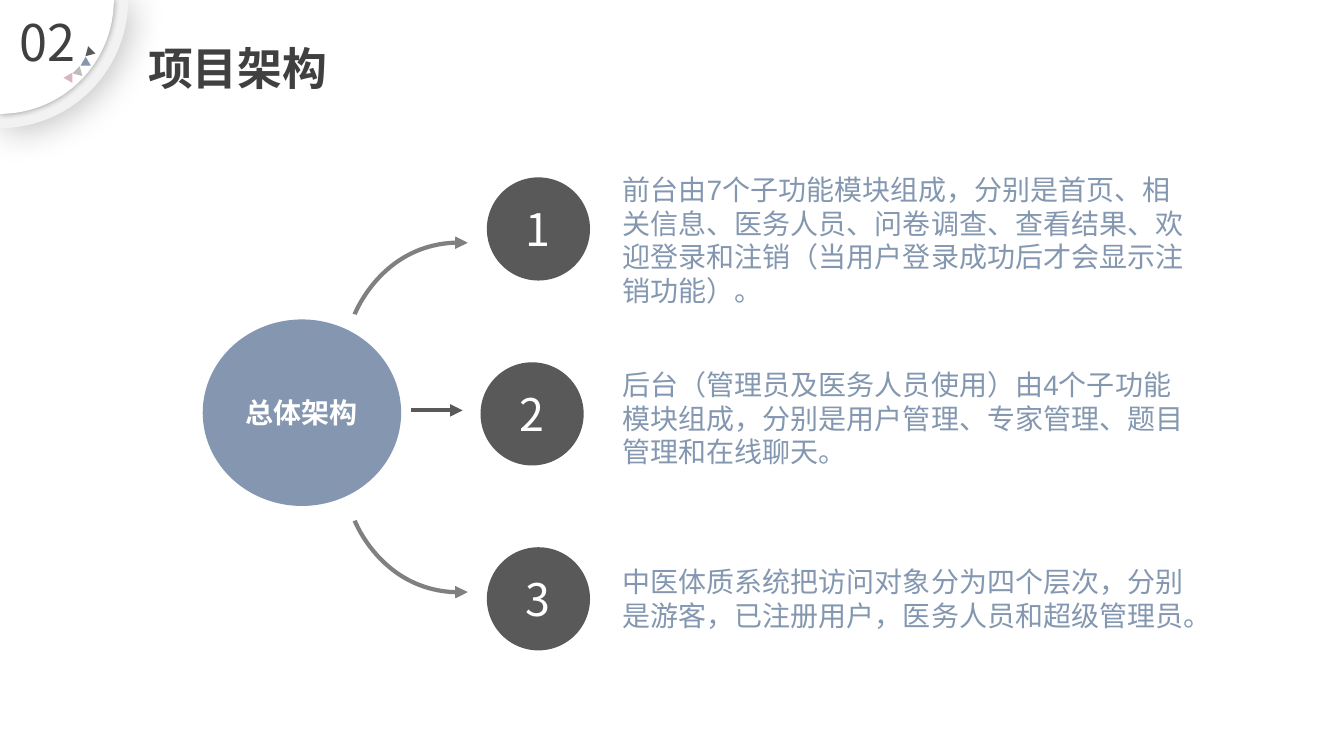
from dataclasses import dataclass
from math import cos, pi, radians, sin

from lxml.etree import SubElement
from pptx import Presentation
from pptx.dml.color import RGBColor
from pptx.enum.shapes import MSO_CONNECTOR, MSO_SHAPE
from pptx.enum.text import MSO_ANCHOR, PP_ALIGN
from pptx.oxml.ns import qn
from pptx.util import Cm, Pt

CJK_FONT = "Noto Sans CJK SC"
BLUE, DARK, GRAY, TITLE_COLOR = "8496B0", "595959", "808080", "404040"
ARROW_AXIS = 10.52  # the curved arrows mirror each other about this height, in cm


@dataclass
class Module:
    """A numbered circle and the description beside it, in cm."""
    number: str
    circle_left: float
    text_top: float
    text_height: float
    description: str


@dataclass
class Triangle:
    """A small corner ornament: centre in cm, turn in degrees."""
    x: float
    y: float
    turn: float
    color: str


@dataclass
class Shadow:
    """An outer shadow: opacity in percent, blur and distance in points."""
    opacity: int
    blur: float
    distance: float
    angle: int


MODULES = [
    Module("1", 12.27, 4.22, 3.68,
           "前台由7个子功能模块组成，分别是首页、相关信息、医务人员、问卷调查、查看结果、"
           "欢迎登录和注销（当用户登录成功后才会显示注销功能）。"),
    Module("2", 12.11, 9.14, 2.82,
           "后台（管理员及医务人员使用）由4个子功能模块组成，分别是用户管理、专家管理、"
           "题目管理和在线聊天。"),
    Module("3", 12.27, 14.1, 1.96,
           "中医体质系统把访问对象分为四个层次，分别是游客，已注册用户，医务人员和超级管理员。"),
]
TRIANGLES = [
    Triangle(2.26, 1.31, 15, DARK),
    Triangle(2.16, 1.58, 30, BLUE),
    Triangle(1.97, 1.81, 45, "BCBCBC"),
    Triangle(1.75, 1.96, 60, "D7B5C6"),
]
CORNER_LAYERS = [
    (3.23, "F2F2F2", Shadow(25, 26, 3, 45)),
    (2.87, "FFFFFF", Shadow(40, 5, 0, 0)),
]


def rgb(color: str) -> RGBColor:
    """Turn a hex string into a colour."""
    return RGBColor.from_string(color)


def write(shape, text: str, *, size: float, color: str, font: str = CJK_FONT,
          bold: bool = False, align=PP_ALIGN.LEFT, anchor=MSO_ANCHOR.TOP,
          wrap: bool = True, spacing=None) -> None:
    """Put one formatted paragraph into a shape."""
    frame = shape.text_frame
    frame.word_wrap = wrap
    frame.vertical_anchor = anchor
    paragraph = frame.paragraphs[0]
    paragraph.alignment = align
    paragraph.line_spacing = spacing
    run = paragraph.add_run()
    run.text = text
    run.font.size = Pt(size)
    run.font.bold = bold
    run.font.name = font
    run.font.color.rgb = rgb(color)
    SubElement(run.font._element, qn("a:ea"), typeface=CJK_FONT)


def paint(shape, color: str) -> None:
    """Give a shape a plain fill without line or shadow."""
    shape.shadow.inherit = False
    shape.fill.solid()
    shape.fill.fore_color.rgb = rgb(color)
    shape.line.fill.background()


def add_circle(slide, left: float, top: float, width: float, height: float, color: str):
    """Add a filled ellipse."""
    circle = slide.shapes.add_shape(
        MSO_SHAPE.OVAL, Cm(left), Cm(top), Cm(width), Cm(height))
    paint(circle, color)
    return circle


def add_textbox(slide, left: float, top: float, width: float, height: float):
    """Add an empty text box."""
    return slide.shapes.add_textbox(Cm(left), Cm(top), Cm(width), Cm(height))


def add_outline(slide, points: list[tuple[float, float]], close: bool = True):
    """Add a freeform through points given in cm."""
    start, *rest = [(Cm(x), Cm(y)) for x, y in points]
    builder = slide.shapes.build_freeform(*start)
    builder.add_line_segments(rest, close=close)
    return builder.convert_to_shape()


def add_arrowhead(shape, color: str) -> None:
    """Style the line of a shape and end it with a triangle."""
    shape.line.color.rgb = rgb(color)
    shape.line.width = Pt(3)
    SubElement(shape.line._get_or_add_ln(), qn("a:tailEnd"), type="triangle")


def add_curved_arrow(slide, mirrored: bool) -> None:
    """Add a curved arrow from the hub to the first or the last circle."""
    (x0, y0), (x1, y1), (x2, y2) = (8.94, 7.92), (9.68, 5.99), (11.79, 6.12)
    points = []
    for step in range(41):
        t = step / 40
        weights = (1 - t) ** 3 + 3 * t * (1 - t) ** 2, 3 * t ** 2 * (1 - t), t ** 3
        x = weights[0] * x0 + weights[1] * x1 + weights[2] * x2
        y = weights[0] * y0 + weights[1] * y1 + weights[2] * y2
        points.append((x, 2 * ARROW_AXIS - y if mirrored else y))
    arrow = add_outline(slide, points, close=False)
    arrow.shadow.inherit = False
    arrow.fill.background()
    add_arrowhead(arrow, GRAY)


def add_straight_arrow(slide) -> None:
    """Add the arrow from the hub to the middle circle."""
    arrow = slide.shapes.add_connector(
        MSO_CONNECTOR.STRAIGHT, Cm(10.36), Cm(10.34), Cm(11.66), Cm(10.34))
    add_arrowhead(arrow, DARK)
    SubElement(arrow._element.spPr, qn("a:effectLst"))


def add_corner_layer(slide, radius: float, color: str, shadow: Shadow) -> None:
    """Add a quarter disc with a shadow in the top left corner."""
    angles = [step * pi / 120 for step in range(61)]
    layer = add_outline(
        slide, [(0, 0)] + [(radius * cos(a), radius * sin(a)) for a in angles])
    paint(layer, color)
    effects = layer._element.spPr.find(qn("a:effectLst"))
    outer = SubElement(
        effects, qn("a:outerShdw"), blurRad=str(Pt(shadow.blur)),
        dist=str(Pt(shadow.distance)), dir=str(shadow.angle * 60000),
        algn="ctr", rotWithShape="0")
    black = SubElement(outer, qn("a:srgbClr"), val="000000")
    SubElement(black, qn("a:alpha"), val=str(shadow.opacity * 1000))


def add_triangle(slide, triangle: Triangle) -> None:
    """Add a small equilateral triangle."""
    angles = [radians(triangle.turn + 120 * corner) for corner in range(3)]
    points = [(triangle.x + 0.15 * cos(a), triangle.y + 0.15 * sin(a)) for a in angles]
    paint(add_outline(slide, points), triangle.color)


def add_module(slide, index: int, module: Module) -> None:
    """Add a numbered circle with its description."""
    circle = add_circle(slide, module.circle_left, 4.47 + 4.66 * index, 2.6, 2.6, DARK)
    write(circle, module.number, size=32, color="FFFFFF", align=PP_ALIGN.CENTER,
          anchor=MSO_ANCHOR.MIDDLE, wrap=False)
    description = add_textbox(slide, 15.44, module.text_top, 14.86, module.text_height)
    write(description, module.description, size=20, color="8497B0", font="Arial",
          spacing=Pt(24))


presentation = Presentation()
presentation.slide_width, presentation.slide_height = Cm(33.87), Cm(19.05)
slide = presentation.slides.add_slide(presentation.slide_layouts[5])

title = slide.shapes.title
title.left, title.top, title.width, title.height = Cm(3.48), Cm(0.61), Cm(15.7), Cm(1.9)
write(title, "项目架构", size=32, color=TITLE_COLOR, bold=True, anchor=MSO_ANCHOR.BOTTOM)

hub = add_circle(slide, 5.11, 8.05, 5, 4.7, BLUE)
write(hub, "总体架构", size=20, color="FFFFFF", bold=True, align=PP_ALIGN.CENTER,
      anchor=MSO_ANCHOR.MIDDLE)
for mirrored in (False, True):
    add_curved_arrow(slide, mirrored)
add_straight_arrow(slide)
for index, module in enumerate(MODULES):
    add_module(slide, index, module)

for radius, color, shadow in CORNER_LAYERS:
    add_corner_layer(slide, radius, color, shadow)
for triangle in TRIANGLES:
    add_triangle(slide, triangle)
section = add_textbox(slide, 0.1, 0.15, 2.21, 1.8)
write(section, "02", size=36, color=TITLE_COLOR, align=PP_ALIGN.CENTER)

presentation.save("out.pptx")
